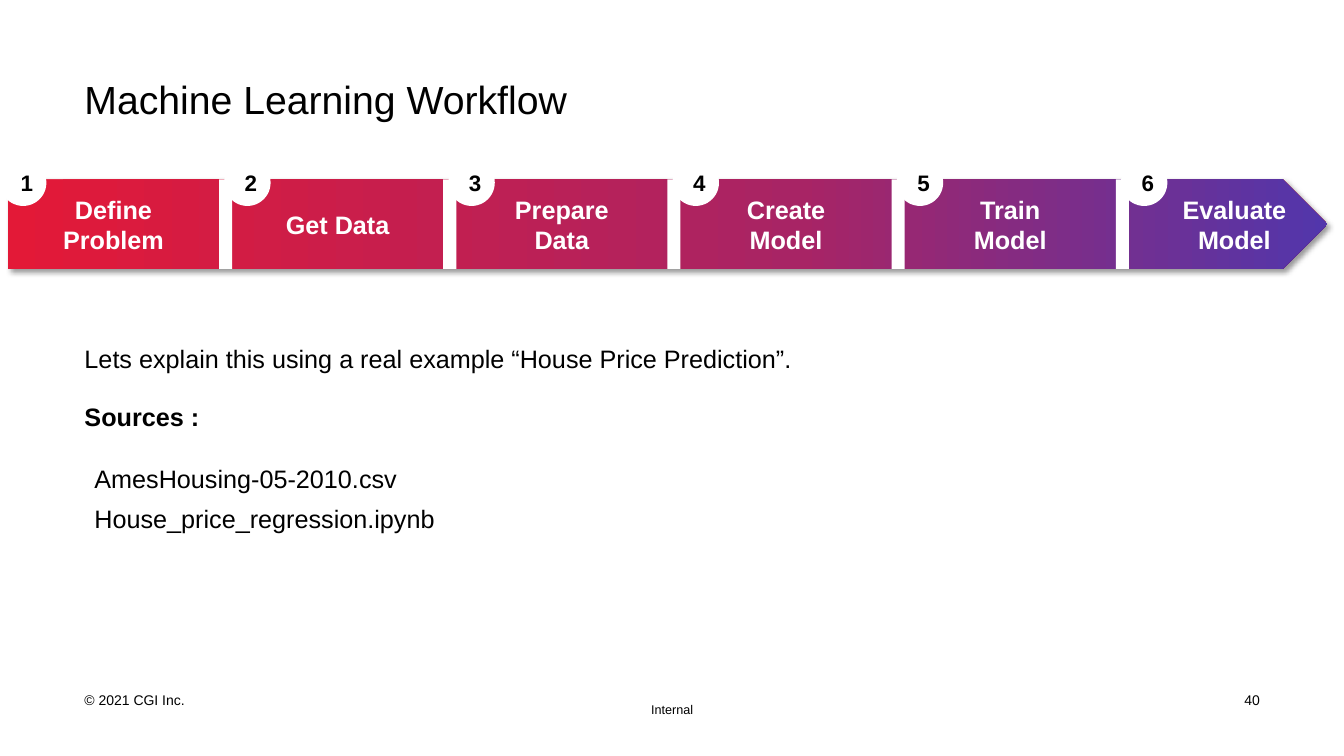
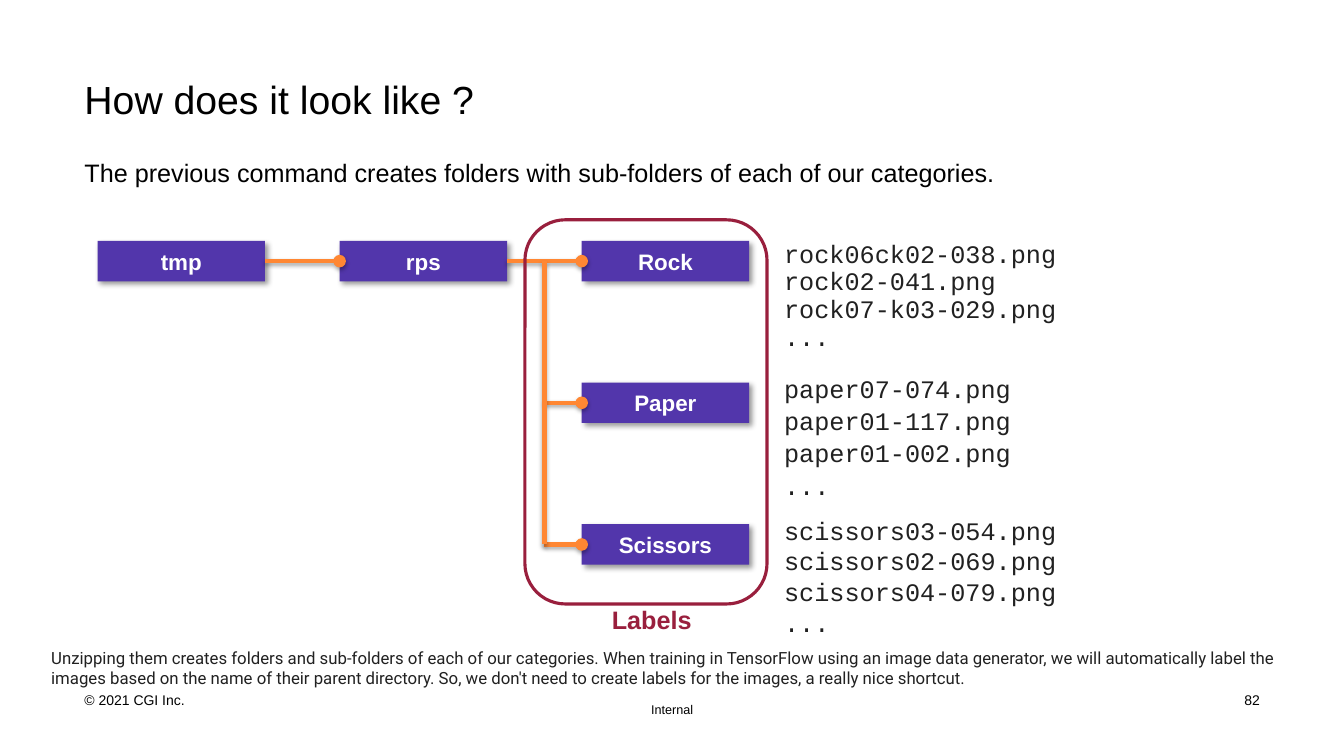
from copy import deepcopy
from dataclasses import dataclass

from lxml.etree import SubElement
from pptx import Presentation
from pptx.dml.color import RGBColor
from pptx.enum.shapes import MSO_CONNECTOR, MSO_SHAPE
from pptx.enum.text import MSO_ANCHOR, PP_ALIGN
from pptx.oxml.ns import qn
from pptx.util import Cm, Pt


@dataclass(frozen=True)
class Theme:
    black: str = "000000"
    white: str = "FFFFFF"
    purple: str = "5236AB"
    orange: str = "FF8733"
    wine: str = "991F3D"
    code: str = "212121"
    gradient: tuple = ((0, "E31937"), (0.6, "A82465"), (1, "5236AB"))
    font: str = "Arial"
    code_font: str = "Courier New"
    note_font: str = "Roboto"
    title_size: float = 28
    body_size: float = 18
    node_size: float = 16
    note_size: float = 12
    footer_size: float = 10
    mark_size: float = 9


THEME = Theme()


@dataclass(frozen=True)
class Box:
    """A rectangle in centimetres."""
    left: float
    top: float
    width: float
    height: float

    def inner(self, left, top, width, height):
        return Box(self.left + left, self.top + top, width, height)

    def lengths(self):
        return Cm(self.left), Cm(self.top), Cm(self.width), Cm(self.height)


PAGE = Box(0, 0, 33.87, 19.05)
MARGIN = 2.13


def write(shape, lines, size=THEME.body_size, color=THEME.black, font=THEME.font,
          bold=False, align=PP_ALIGN.LEFT, anchor=MSO_ANCHOR.TOP, gap=0, pitch=None,
          left_inset=0, wrap=True):
    """Fill a shape with paragraphs; gap is the space between them, pitch the line height."""
    frame = shape.text_frame
    frame.word_wrap = wrap
    frame.vertical_anchor = anchor
    frame.margin_left = Cm(left_inset)
    frame.margin_top = frame.margin_right = frame.margin_bottom = 0
    for index, line in enumerate(lines):
        paragraph = frame.add_paragraph() if index else frame.paragraphs[0]
        paragraph.text = line
        paragraph.alignment = align
        if index and gap:
            paragraph.space_before = Pt(gap)
        if pitch:
            paragraph.line_spacing = Pt(pitch)
        paragraph.font.name = font
        paragraph.font.size = Pt(size)
        paragraph.font.bold = bold
        paragraph.font.color.rgb = RGBColor.from_string(color)
    return frame


def add_text(slide, box, *lines, **style):
    return write(slide.shapes.add_textbox(*box.lengths()), lines, **style)


def add_block(slide, kind, box, fill=None):
    """Add a preset shape without outline or shadow."""
    shape = slide.shapes.add_shape(kind, *box.lengths())
    shape.shadow.inherit = False
    shape.line.fill.background()
    if fill:
        shape.fill.solid()
        shape.fill.fore_color.rgb = RGBColor.from_string(fill)
    else:
        shape.fill.background()
    return shape


def add_shadow(shape, blur=4, distance=3, angle=45, opacity=40):
    properties = shape._element.spPr
    effects = properties.find(qn("a:effectLst"))
    if effects is None:
        effects = SubElement(properties, qn("a:effectLst"))
    shadow = SubElement(effects, qn("a:outerShdw"), blurRad=str(Pt(blur)),
                        dist=str(Pt(distance)), dir=str(angle * 60000),
                        algn="tl", rotWithShape="0")
    color = SubElement(shadow, qn("a:srgbClr"), val=THEME.black)
    SubElement(color, qn("a:alpha"), val=str(opacity * 1000))


def fill_gradient(shape, stops):
    shape.fill.gradient()
    shape.fill.gradient_angle = 0
    stop_list = shape._element.spPr.find(qn("a:gradFill")).find(qn("a:gsLst"))
    while len(stop_list) < len(stops):
        stop_list.append(deepcopy(stop_list[0]))
    for stop, (position, color) in zip(shape.fill.gradient_stops, stops):
        stop.position = position
        stop.color.rgb = RGBColor.from_string(color)


def add_page(presentation, title, number):
    """Add a blank slide with the shared title and footer."""
    slide = presentation.slides.add_slide(presentation.slide_layouts[6])
    add_text(slide, PAGE.inner(MARGIN, 1.9, 29.67, 1.47), title, size=THEME.title_size)
    footer = dict(size=THEME.footer_size, anchor=MSO_ANCHOR.MIDDLE)
    add_text(slide, PAGE.inner(MARGIN, 17.4, 5.33, 0.48), "© 2021 CGI Inc.", **footer)
    add_text(slide, PAGE.inner(31.01, 17.4, 0.74, 0.48), number,
             align=PP_ALIGN.RIGHT, **footer)
    add_text(slide, PAGE.inner(16.41, 17.68, 1.14, 0.38), "Internal",
             size=THEME.mark_size, wrap=False)
    return slide


def add_process_arrow(slide, box, steps):
    """Draw one gradient arrow cut into numbered steps."""
    pitch, divider_width, badge_size = 5.65, 0.33, 1.17
    step_width = pitch - divider_width
    arrow = add_block(slide, MSO_SHAPE.PENTAGON, box)
    fill_gradient(arrow, THEME.gradient)
    add_shadow(arrow)
    for index, words in enumerate(steps):
        step = box.inner(index * pitch, 0, step_width, box.height)
        if index:
            add_block(slide, MSO_SHAPE.RECTANGLE,
                      step.inner(-divider_width, 0, divider_width, box.height), THEME.white)
        badge = add_block(slide, MSO_SHAPE.OVAL,
                          step.inner(-0.2, -0.5, badge_size, badge_size), THEME.white)
        write(badge, [str(index + 1)], size=THEME.node_size, bold=True,
              align=PP_ALIGN.CENTER, anchor=MSO_ANCHOR.MIDDLE, left_inset=0.18)
        add_text(slide, step, *words, color=THEME.white, bold=True,
                 align=PP_ALIGN.CENTER, anchor=MSO_ANCHOR.MIDDLE)


def add_link(slide, start, end, source=None, target=None):
    """Draw an orange line, joined to the right of source and the left of target."""
    link = slide.shapes.add_connector(MSO_CONNECTOR.STRAIGHT, *start, *end)
    if source is not None:
        link.begin_connect(source, 3)
    if target is not None:
        link.end_connect(target, 1)
    link.line.color.rgb = RGBColor.from_string(THEME.orange)
    link.line.width = Pt(3)
    if target is not None:
        SubElement(link.line._get_or_add_ln(), qn("a:tailEnd"), type="oval")
    add_shadow(link, blur=3.1, distance=1.8, angle=90, opacity=35)


def add_folder_tree(slide, box, parents, children):
    """Place the parent folders in a row and the children in a column after them."""
    column_pitch, row_pitch, width, height = 6.1, 3.57, 4.22, 1.02

    def add_folder(name, column, row):
        folder = add_block(slide, MSO_SHAPE.RECTANGLE,
                           box.inner(column * column_pitch, row * row_pitch, width, height),
                           THEME.purple)
        add_shadow(folder)
        write(folder, [name], size=THEME.node_size, color=THEME.white, bold=True,
              align=PP_ALIGN.CENTER, anchor=MSO_ANCHOR.MIDDLE)
        return folder

    row_folders = [add_folder(name, column, 0) for column, name in enumerate(parents)]
    leaves = [add_folder(name, len(parents), row) for row, name in enumerate(children)]
    row_folders.append(leaves[0])
    for source, target in zip(row_folders, row_folders[1:]):
        add_link(slide, (0, 0), (0, 0), source, target)

    trunk_left = Cm(box.left + len(parents) * column_pitch - (column_pitch - width) / 2)
    joints = [(trunk_left, leaf.top + leaf.height // 2) for leaf in leaves]
    for joint, leaf in zip(joints[1:], leaves[1:]):
        add_link(slide, joint, (leaf.left, joint[1]), target=leaf)
    add_link(slide, joints[0], joints[-1])


def add_label_frame(slide, box, caption):
    frame = add_block(slide, MSO_SHAPE.ROUNDED_RECTANGLE, box)
    frame.line.color.rgb = RGBColor.from_string(THEME.wine)
    frame.line.width = Pt(2.25)
    add_text(slide, box.inner(2.19, box.height, 3.43, 1.02), caption,
             color=THEME.wine, bold=True)


def build_workflow(presentation):
    slide = add_page(presentation, "Machine Learning Workflow", "40")
    add_process_arrow(slide, PAGE.inner(0.2, 4.52, 33.25, 2.26), [
        ("Define", "Problem"), ("Get Data",), ("Prepare", "Data"),
        ("Create", "Model"), ("Train", "Model"), ("Evaluate", "Model")])
    add_text(slide, PAGE.inner(MARGIN, 8.64, 28.4, 1.02),
             "Lets explain this using a real example “House Price Prediction”.")
    add_text(slide, PAGE.inner(MARGIN, 10.11, 28.4, 1.02), "Sources :", bold=True)
    add_text(slide, PAGE.inner(MARGIN, 11.68, 16.94, 1.75),
             "AmesHousing-05-2010.csv", "House_price_regression.ipynb",
             gap=6.5, left_inset=0.25)


def build_folders(presentation):
    slide = add_page(presentation, "How does it look like ?", "82")
    add_text(slide, PAGE.inner(MARGIN, 3.96, 25, 1.02),
             "The previous command creates folders with sub-folders of each of our categories.")
    add_folder_tree(slide, PAGE.inner(2.46, 6.07, 16.42, 8.16),
                    ["tmp", "rps"], ["Rock", "Paper", "Scissors"])
    file_lists = [
        (6.07, 19.7, ("rock06ck02-038.png", "rock02-041.png", "rock07-k03-029.png")),
        (9.37, 22.9, ("paper07-074.png", "paper01-117.png", "paper01-002.png")),
        (12.96, 22, ("scissors03-054.png", "scissors02-069.png", "scissors04-079.png")),
    ]
    for top, pitch, files in file_lists:
        add_text(slide, PAGE.inner(19.58, top, 8.5, 3.1), *files, "...",
                 color=THEME.code, font=THEME.code_font, pitch=pitch, left_inset=0.18)
    add_text(slide, PAGE.inner(1.29, 16.31, 31.33, 1.02),
             "Unzipping them creates folders and sub-folders of each of our categories. "
             "When training in TensorFlow using an image data generator, we will "
             "automatically label the images based on the name of their parent directory. "
             "So, we don't need to create labels for the images, a really nice shortcut.",
             size=THEME.note_size, color=THEME.code, font=THEME.note_font)
    add_label_frame(slide, PAGE.inner(13.23, 5.54, 6.1, 9.68), "Labels")


def main():
    presentation = Presentation()
    presentation.slide_width = Cm(PAGE.width)
    presentation.slide_height = Cm(PAGE.height)
    build_workflow(presentation)
    build_folders(presentation)
    presentation.save("out.pptx")


if __name__ == "__main__":
    main()
